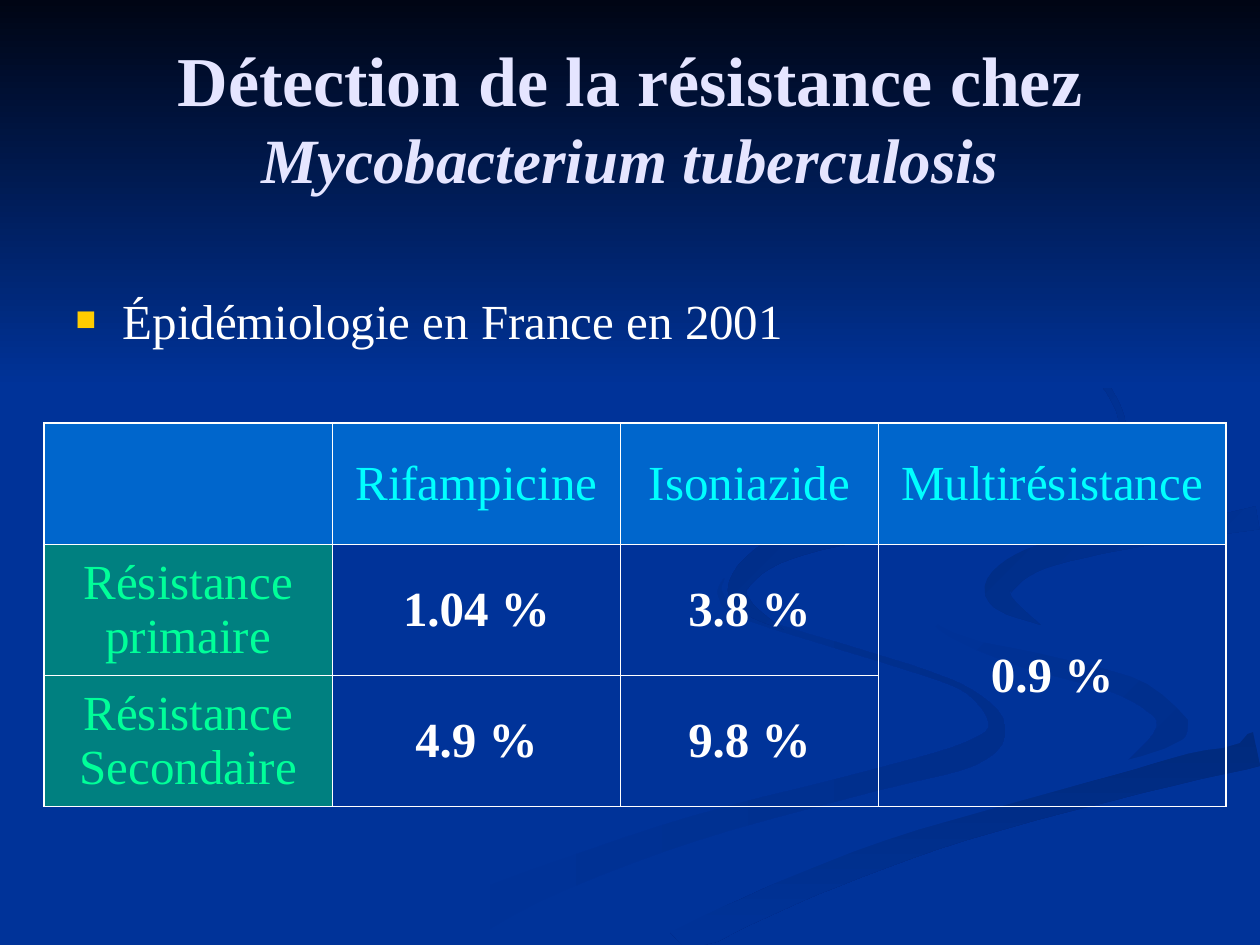
from dataclasses import dataclass
from math import hypot
from lxml import etree
from pptx import Presentation, util as u
from pptx.dml.color import RGBColor
from pptx.enum import shapes, text
from pptx.oxml import ns


@dataclass(frozen=True)
class Theme:
    font: str = "Times New Roman"
    back: str = "003399"
    night: str = "000514"
    title: str = "E5E5FF"
    white: str = "FFFFFF"
    gold: str = "FFCC00"
    head: str = "00FFFF"
    head_bg: str = "0066CC"
    side: str = "00FF99"
    side_bg: str = "008080"
    big: int = 40
    mid: int = 36
    base: int = 28
    thick: float = 1.08
    thin: float = 0.45


@dataclass(frozen=True)
class Ribbon:
    """A brush stroke; each knot is x, y and brush width in cm."""
    first: str
    last: str
    angle: int  # clockwise
    knots: tuple


T = Theme()
STEPS = 5  # curve points between two knots
GRAIN = 100  # outline points to the cm

# Back to front
RIBBONS = {
    "left bend": Ribbon(T.back, "002E8B", 0, (
        (14.6, 11.66, 0), (14.53, 12, 0.1), (15.1, 12.45, 0.12), (18.3, 13.45, 0.12),
        (19.55, 13.95, 0.12), (20.1, 14.65, 0.35), (19.55, 15.2, 0.5),
        (17.55, 15.75, 0.43), (14, 16.7, 0.5), (10.8, 17.85, 0.65), (8.4, 19, 1.1))),
    "right bend": Ribbon(T.back, "002E8B", 45, (
        (18.4, 11.8, 0), (18.55, 12.2, 0.1), (19.2, 12.75, 0.2), (20.65, 13.28, 0.35),
        (22.45, 13.75, 0.4), (23.4, 14.2, 0.55), (23.63, 14.6, 0.63),
        (23.4, 15, 0.5), (22.7, 15.37, 0))),
    "low sweep": Ribbon("002A7D", T.back, 90, (
        (13.6, 19.05, 0.7), (15, 18.4, 0.55), (16.8, 17.6, 0.57),
        (19.4, 16.7, 0.5), (22.95, 15.75, 0.5), (25.35, 15.1, 0.7))),
    "plain band": Ribbon(T.back, T.back, 0, (
        (25.37, 10.03, 0.38), (21.35, 10.67, 0.38), (19.63, 11.15, 0.75),
        (19.15, 11.8, 1.4), (19.7, 12.4, 1), (21.35, 12.98, 0.55), (23.25, 13.5, 0.63),
        (24.65, 14.35, 1.4), (23.9, 15.05, 0.3), (21.35, 15.8, 0.25),
        (17.8, 16.8, 0.3), (14.75, 17.98, 0.38), (12.45, 19, 0.65))),
    "upper hook": Ribbon("002D86", T.back, 45, (
        (25.35, 10.44, 0.46), (23.75, 10.72, 0.36), (22.1, 10.97, 0.43),
        (20.8, 11.3, 0.5), (20.15, 11.8, 0.56), (20.27, 12.17, 0.38), (20.98, 12.6, 0))),
    "high hook": Ribbon("002B82", T.back, 45, (
        (19.35, 5.92, 0), (20.88, 6.68, 0.05), (22.05, 7.5, 0.12), (22.6, 8.4, 0.13),
        (22.48, 9.15, 0.25), (21.85, 9.63, 0.36), (20.05, 10.2, 0.45),
        (17.3, 10.72, 0.4), (15.62, 11.13, 0.5), (14.88, 11.8, 0.4),
        (15.1, 12.27, 0.25), (15.8, 12.7, 0))),
}

# An empty text joins its cell to the one above
GRID = [
    ["", "Rifampicine", "Isoniazide", "Multirésistance"],
    ["Résistance primaire", "1.04 %", "3.8 %", "0.9 %"],
    ["Résistance Secondaire", "4.9 %", "9.8 %", ""],
]


def rgb(hue):
    return RGBColor.from_string(hue)


def style(font, size, hue, bold=False):
    font.name, font.size, font.bold = T.font, u.Pt(size), bold
    font.color.rgb = rgb(hue)


def place(shape, box):
    shape.left, shape.top, shape.width, shape.height = (u.Cm(n) for n in box)


def smooth(knots):
    """Catmull-Rom curve through the knots."""
    ends = (knots[0], *knots, knots[-1])
    curve = []
    for four in zip(ends, ends[1:], ends[2:], ends[3:]):
        for t in (step / STEPS for step in range(STEPS)):
            curve.append([
                b + t / 2 * (c - a + t * (2 * a - 5 * b + 4 * c - d
                                          + t * (3 * b - a - 3 * c + d)))
                for a, b, c, d in zip(*four)])
    return curve + [list(knots[-1])]


def outline(knots, wide, high):
    """Both edges of a brush stroke, kept inside the box."""
    curve = smooth(knots)
    near, far = [], []
    for i, (x, y, width) in enumerate(curve):
        back, ahead = curve[max(i - 1, 0)], curve[min(i + 1, len(curve) - 1)]
        dx, dy = ahead[0] - back[0], ahead[1] - back[1]
        half = max(width, 0) / 2 / hypot(dx, dy)
        for edge_dots, sign in ((near, half), (far, -half)):
            spot = min(x - dy * sign, wide), min(y + dx * sign, high)
            edge_dots.append(tuple(round(n * GRAIN) for n in spot))
    return near + far[::-1]


def paint(shape, first, last, angle):
    shape.shadow.inherit = False
    shape.line.fill.background()
    if first == last:
        shape.fill.solid()
        shape.fill.fore_color.rgb = rgb(first)
        return
    shape.fill.gradient()
    shape.fill.gradient_angle = (360 - angle) % 360
    for stop, hue in zip(shape.fill.gradient_stops, (first, last)):
        stop.color.rgb = rgb(hue)


def draw_back(slide, box):
    """Plain ground, ribbons and the dark sky."""
    left, top, wide, high = box
    slide.background.fill.solid()
    slide.background.fill.fore_color.rgb = rgb(T.back)
    for band in RIBBONS.values():
        dots = outline(band.knots, wide, high)
        pen = slide.shapes.build_freeform(*dots[0], scale=u.Cm(1) / GRAIN)
        pen.add_line_segments(dots[1:], close=True)
        shape = pen.convert_to_shape(u.Cm(left), u.Cm(top))
        paint(shape, band.first, band.last, band.angle)
    sky = slide.shapes.add_shape(
        shapes.MSO_SHAPE.RECTANGLE, *(u.Cm(n) for n in (left, top, wide, 7.82)))
    paint(sky, T.night, T.back, 90)


def raise_up(shape):
    """Bring a placeholder in front of the ribbons."""
    shape.element.getparent().append(shape.element)


def fill_title(shape, box):
    raise_up(shape)
    place(shape, box)
    frame = shape.text_frame
    frame.auto_size = text.MSO_AUTO_SIZE.NONE
    frame.vertical_anchor = text.MSO_ANCHOR.MIDDLE
    para = frame.paragraphs[0]
    para.alignment = text.PP_ALIGN.CENTER
    style(para.font, T.big, T.title, True)
    for words, size, slant in (
        ("Détection de la résistance chez ", T.big, False),
        ("Mycobacterium tuberculosis", T.mid, True),
    ):
        run = para.add_run()
        run.text = words
        run.font.size, run.font.italic = u.Pt(size), slant


def fill_body(shape, box):
    raise_up(shape)
    place(shape, box)
    frame = shape.text_frame
    frame.auto_size = text.MSO_AUTO_SIZE.NONE
    para = frame.paragraphs[0]
    para.text = "Épidémiologie en France en 2001"
    para.space_before = u.Pt(0)
    # Square gold bullet with a hanging indent
    props = para._p.get_or_add_pPr()
    props.set("marL", str(u.Cm(0.95)))
    props.set("indent", str(-u.Cm(0.95)))
    tint = etree.SubElement(props, ns.qn("a:buClr"))
    etree.SubElement(tint, ns.qn("a:srgbClr"), val=T.gold)
    etree.SubElement(props, ns.qn("a:buSzPct"), val="70000")
    etree.SubElement(props, ns.qn("a:buFont"), typeface=T.font)
    etree.SubElement(props, ns.qn("a:buChar"), char="■")
    style(para.font, T.base, T.white)


def edge(cell, side, width):
    props = cell._tc.get_or_add_tcPr()
    line = etree.SubElement(props, ns.qn("a:ln" + side), w=str(u.Pt(width)))
    solid = etree.SubElement(line, ns.qn("a:solidFill"))
    etree.SubElement(solid, ns.qn("a:srgbClr"), val=T.white)


def fill_cell(cell, words, hue, ground, bold):
    if ground:
        cell.fill.solid()
        cell.fill.fore_color.rgb = rgb(ground)
    else:
        cell.fill.background()
    cell.vertical_anchor = text.MSO_ANCHOR.MIDDLE
    para = cell.text_frame.paragraphs[0]
    para.text = words
    para.alignment = text.PP_ALIGN.CENTER
    style(para.font, T.base, hue, bold)


def add_rates(slide, box, wide, high):
    """Table of resistance rates."""
    rows, cols = len(high), len(wide)
    table = slide.shapes.add_table(rows, cols, *(u.Cm(n) for n in box)).table
    table.first_row = table.horz_banding = False
    for col, width in zip(table.columns, wide):
        col.width = u.Cm(width)
    for row, height in zip(table.rows, high):
        row.height = u.Cm(height)
    for r, line in enumerate(GRID):
        for c, words in enumerate(line):
            cell = table.cell(r, c)
            outer = {"L": c == 0, "R": c == cols - 1, "T": r == 0, "B": r == rows - 1}
            for side, rim in outer.items():
                edge(cell, side, T.thick if rim else T.thin)
            if r == 0:
                look = T.head, T.head_bg, False
            elif c == 0:
                look = T.side, T.side_bg, False
            else:
                look = T.white, None, True
            fill_cell(cell, words, *look)
            if r and not words:
                table.cell(r - 1, c).merge(cell)


def main():
    deck = Presentation()
    wide, high = 25.4, 19.05
    deck.slide_width, deck.slide_height = u.Cm(wide), u.Cm(high)
    slide = deck.slides.add_slide(deck.slide_layouts[1])
    title, body = slide.placeholders
    draw_back(slide, (0, 0, wide, high))
    fill_title(title, (1.27, 0.76, 22.86, 3.18))
    fill_body(body, (1.27, 5.72, 22.86, 4.8))
    cols, rows = (5.81, 5.81, 5.2, 7), (2.45, 2.64, 2.64)
    add_rates(slide, (0.89, 8.53, sum(cols), sum(rows)), cols, rows)
    deck.save("out.pptx")


if __name__ == "__main__":
    main()
